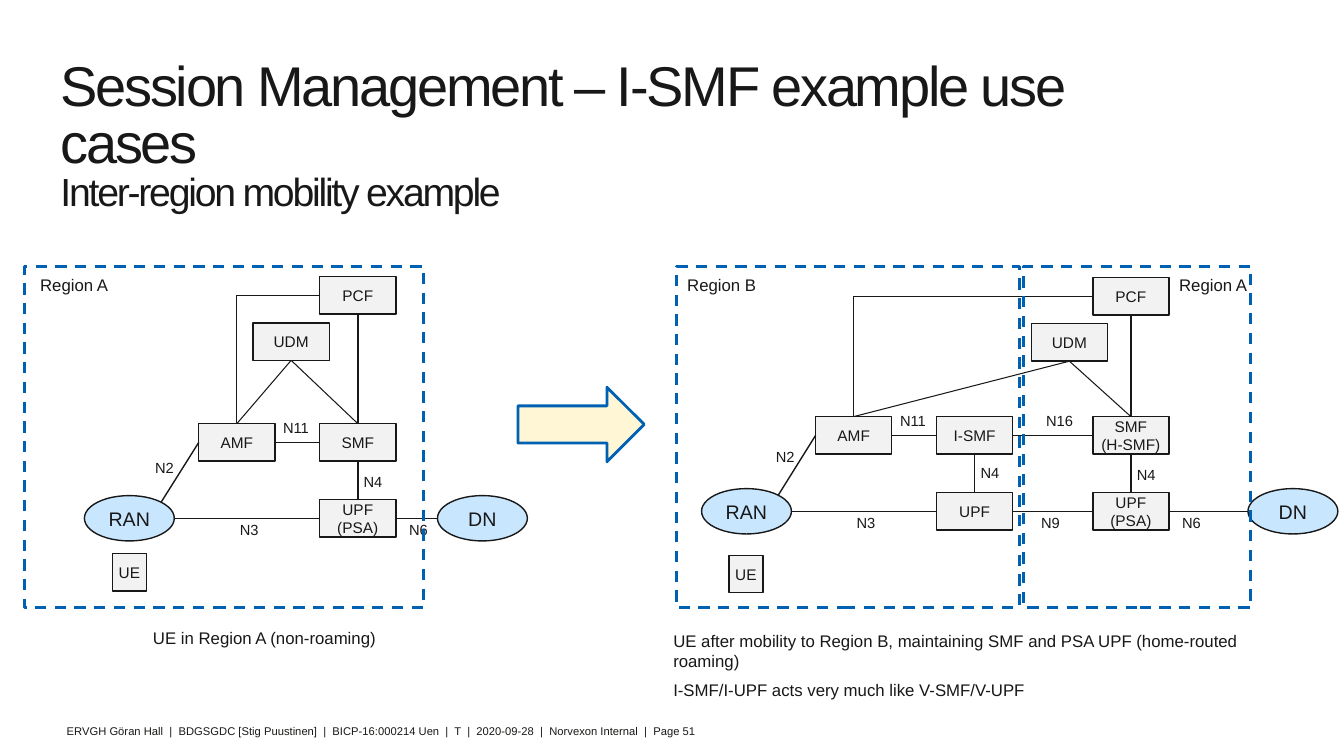
import copy
import pptx
import pptx.util
import pptx.dml.color
import pptx.enum.dml
import pptx.enum.shapes
import pptx.enum.text
import pptx.oxml.ns

Pt = pptx.util.Pt
SHAPES = pptx.enum.shapes.MSO_SHAPE
LINES = pptx.enum.shapes.MSO_CONNECTOR

COLORS = {"ink": "181818", "footer": "1A1816", "box": "F2F2F2",
          "oval": "C9E6FF", "frame": "0060B2", "arrow": "FEF6D5"}
FONT = "Arial"
SIZES = {"box": (54.4, 26.8), "oval": (64.2, 32.4), "ue": (24.4, 26.8)}

TITLE = "Session Management – I-SMF example use cases\vInter-region mobility example"
FOOTER = ("ERVGH Göran Hall  |  BDGSGDC [Stig Puustinen]  |  BICP-16:000214 Uen  |  T  |  "
          "2020-09-28  |  Norvexon Internal  |  Page 51")

PANELS = [
    {
        "nodes": {
            "ran": ("RAN", "oval", 92.4, 370.2), "amf": ("AMF", "box", 169.2, 316),
            "smf": ("SMF", "box", 255.6, 316), "upf": ("UPF\v(PSA)", "box", 255.6, 370.2),
            "pcf": ("PCF", "box", 255.6, 211), "udm": ("UDM", "box", 208, 244),
            "dn": ("DN", "oval", 344.6, 370.2), "ue": ("UE", "ue", 92.4, 408.8),
        },
        "links": [("smf", "bottom", "upf", "top"), ("pcf", "bottom", "smf", "top"),
                  ("amf", "right", "smf", "left"), ("amf", "left", "ran", "corner"),
                  ("ran", "right", "upf", "left"), ("upf", "right", "dn", "left")],
        "thin_links": [("amf", "top", "udm", "bottom"), ("smf", "top", "udm", "bottom")],
        "labels": [("N4", 252.7, 334), ("N11", 195.1, 295.7), ("N3", 164.2, 368.6),
                   ("N6", 285.1, 368.6), ("N2", 103.7, 324)],
        "regions": [("Region A", 21.6, 17.4, 285)],
    },
    {
        "nodes": {
            "ran": ("RAN", "oval", 533.2, 365.2), "amf": ("AMF", "box", 609.8, 311),
            "ismf": ("I-SMF", "box", 696.2, 311), "smf": ("SMF\v(H-SMF)", "box", 807.8, 311),
            "iupf": ("UPF", "box", 696.2, 365.2), "upf": ("UPF\v(PSA)", "box", 807.8, 365.2),
            "pcf": ("PCF", "box", 807.8, 211.6), "udm": ("UDM", "box", 763.9, 244.6),
            "dn": ("DN", "oval", 923.5, 365.2), "ue": ("UE", "ue", 532.8, 410),
        },
        "links": [("ismf", "bottom", "iupf", "top"), ("smf", "bottom", "upf", "top"),
                  ("pcf", "bottom", "smf", "top"), ("ismf", "right", "smf", "left"),
                  ("amf", "right", "ismf", "left"), ("amf", "left", "ran", "corner"),
                  ("ran", "right", "iupf", "left"), ("iupf", "right", "upf", "left"),
                  ("upf", "right", "dn", "left")],
        "thin_links": [("amf", "top", "udm", "bottom"), ("smf", "top", "udm", "bottom")],
        "labels": [("N4", 693.4, 327.6), ("N4", 805, 329), ("N16", 740.2, 290.5),
                   ("N11", 635.8, 290.9), ("N9", 736.6, 363.6), ("N3", 604.8, 363.6),
                   ("N6", 837.4, 363.6), ("N2", 547.2, 316)],
        "regions": [("Region B", 483.8, 483.2, 244.8), ("Region A", 835.2, 731, 162.5)],
    },
]
CAPTIONS = [
    ("UE in Region A (non-roaming)", (102.2, 445, 189.4, 21.6)),
    ("UE after mobility to Region B, maintaining SMF and PSA UPF (home-routed roaming)\n"
     "I-SMF/I-UPF acts very much like V-SMF/V-UPF", (473.8, 447.1, 426.2, 58.3)),
]
SIDES = {"top": (0, -0.5), "bottom": (0, 0.5), "left": (-0.5, 0),
         "right": (0.5, 0), "corner": (0.3536, -0.3536)}

deck = pptx.Presentation()
deck.slide_width, deck.slide_height = Pt(960), Pt(540)
page = deck.slides.add_slide(deck.slide_layouts[6])


def color(name):
    return pptx.dml.color.RGBColor.from_string(COLORS[name])


def write(frame, text, sizes, ink="ink", spacing=None):
    frame.text = text
    for para in frame.paragraphs:
        for index, span in enumerate(para.runs):
            span.font.name = FONT
            span.font.size = Pt(sizes[index % len(sizes)])
            span.font.color.rgb = color(ink)
            if spacing:
                span._r.get_or_add_rPr().set("spc", str(spacing))
        for line_break in para._p.findall(pptx.oxml.ns.qn("a:br")):
            line_break.insert(0, copy.deepcopy(para.runs[0]._r.rPr))


def add_text(text, area, sizes, **style):
    frame = page.shapes.add_textbox(*map(Pt, area)).text_frame
    frame.word_wrap = True
    write(frame, text, sizes, **style)
    return frame


def add_figure(kind, area, fill, line, width):
    figure = page.shapes.add_shape(kind, *map(Pt, area))
    figure.shadow.inherit = False
    if fill:
        figure.fill.solid()
        figure.fill.fore_color.rgb = color(fill)
    else:
        figure.fill.background()
    figure.line.color.rgb = color(line)
    figure.line.width = Pt(width)
    return figure


def add_node(text, kind, center_x, center_y):
    width, height = SIZES[kind]
    oval = kind == "oval"
    node = add_figure(SHAPES.OVAL if oval else SHAPES.RECTANGLE,
                      (center_x - width / 2, center_y - height / 2, width, height),
                      "oval" if oval else "box", "ink", 1)
    frame = node.text_frame
    frame.word_wrap = False
    frame.vertical_anchor = pptx.enum.text.MSO_ANCHOR.MIDDLE
    write(frame, text, [14 if oval else 11])
    frame.paragraphs[0].alignment = pptx.enum.text.PP_ALIGN.CENTER


def anchor(node, side):
    width, height = SIZES[node[1]]
    across, down = SIDES[side]
    return Pt(node[2] + across * width), Pt(node[3] + down * height)


def add_link(nodes, link, width, kind=LINES.STRAIGHT):
    start, start_side, end, end_side = link
    line = page.shapes.add_connector(kind, *anchor(nodes[start], start_side),
                                     *anchor(nodes[end], end_side))
    line.line.color.rgb = color("ink")
    line.line.width = Pt(width)
    properties = line._element.spPr
    properties.append(pptx.oxml.parse_xml(
        "<a:effectLst %s/>" % pptx.oxml.ns.nsdecls("a")))
    if kind == LINES.ELBOW:
        properties.find(pptx.oxml.ns.qn("a:prstGeom")).set("prst", "bentConnector2")


add_text(FOOTER, (41.8, 514, 776.9, 17.3), [8], ink="footer").margin_left = Pt(5.8)

for panel in PANELS:
    nodes = panel["nodes"]
    for node in nodes.values():
        add_node(*node)
    for link in panel["links"]:
        add_link(nodes, link, 1)
    for link in panel["thin_links"]:
        add_link(nodes, link, 0.75)
    add_link(nodes, ("pcf", "left", "amf", "top"), 0.75, LINES.ELBOW)
    for text, left, top in panel["labels"]:
        add_text(text, (left, top, 30 if len(text) == 2 else 40, 20.6), [10.5])
    for text, text_left, left, width in panel["regions"]:
        add_text(text, (text_left, 193, 90.7, 21.6), [12])
        frame = add_figure(SHAPES.RECTANGLE, (left, 190.2, width, 244), None, "frame", 2)
        frame.line.dash_style = pptx.enum.dml.MSO_LINE.DASH

for text, area in CAPTIONS:
    for para in add_text(text, area, [12]).paragraphs[1:]:
        para.space_before = Pt(6)

add_figure(SHAPES.RIGHT_ARROW, (370, 276.6, 90.2, 53.2), "arrow", "frame", 2)

title = add_text(TITLE, (37.4, 37.4, 787, 85), [40, 28], spacing=-160)
title.margin_left, title.margin_top = Pt(5.8), Pt(6)
title.margin_right = title.margin_bottom = Pt(0)
title.paragraphs[0].line_spacing = 0.85

deck.save("out.pptx")
